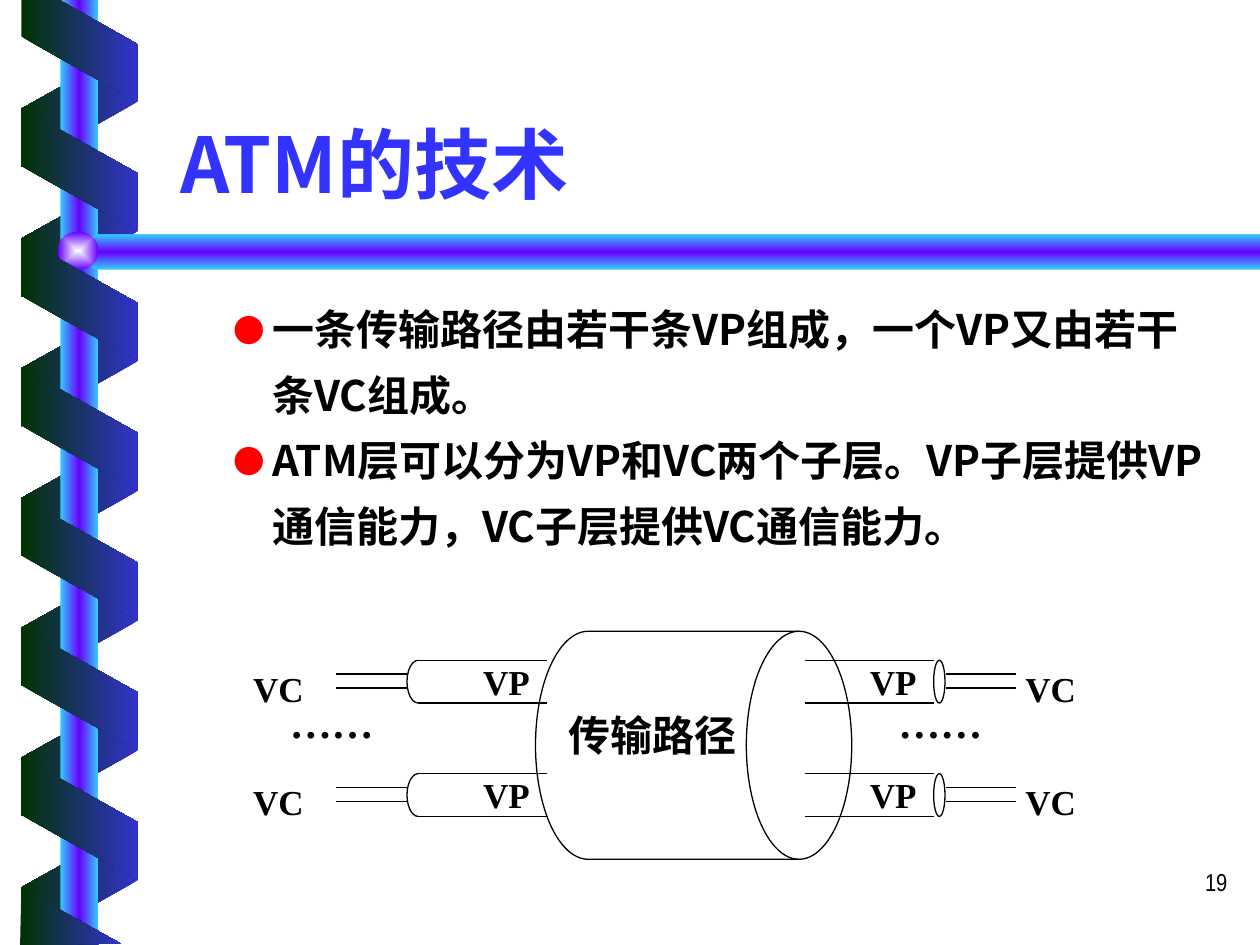
from lxml.etree import SubElement
from pptx import Presentation
from pptx.dml.color import RGBColor
from pptx.enum.shapes import MSO_CONNECTOR, MSO_SHAPE
from pptx.enum.text import MSO_ANCHOR, MSO_AUTO_SIZE, PP_ALIGN
from pptx.oxml import parse_xml
from pptx.oxml.ns import nsdecls, qn
from pptx.util import Inches, Pt

BLACK = RGBColor(0x00, 0x00, 0x00)
TITLE_BLUE = RGBColor(0x33, 0x33, 0xFF)
BULLET_RED = RGBColor(0xFF, 0x00, 0x00)
RIBBON_BLUE = RGBColor(0x33, 0x33, 0xCC)
RIBBON_GREEN = RGBColor(0x00, 0x33, 0x00)
SKY = RGBColor(0x33, 0xCC, 0xFF)
VIOLET = RGBColor(0x66, 0x00, 0xFF)
PEARL = RGBColor(0xFE, 0xFF, 0xFF)

CJK_FONT = "Noto Sans CJK SC"
LABEL_FONT = "Times New Roman"
LINEAR = '<a:lin ang="{}" scaled="0"/>'
RADIAL = '<a:path path="rect"><a:fillToRect l="50000" t="50000" r="50000" b="50000"/></a:path>'
ACROSS = LINEAR.format(0)
DOWN = LINEAR.format(5400000)

TITLE_FONT = {"name": CJK_FONT, "size": Pt(44), "bold": True}
BODY_FONT = {"name": CJK_FONT, "size": Pt(24), "bold": True}
LABEL = {"name": LABEL_FONT, "size": Pt(20), "bold": True}
LARGE_LABEL = {"name": LABEL_FONT, "size": Pt(24), "bold": True}
PAGE_FONT = {"name": "Arial Narrow", "size": Pt(14), "bold": False}
BODY_PARAGRAPH = {"level": 1, "line_spacing": 1.3, "space_before": Pt(0),
                  "space_after": Pt(0), "alignment": PP_ALIGN.LEFT}

POINTS = [
    "一条传输路径由若干条VP组成，一个VP又由若干条VC组成。",
    "ATM层可以分为VP和VC两个子层。VP子层提供VP通信能力，VC子层提供VC通信能力。",
]


def apply(target, values):
    for name, value in values.items():
        setattr(target, name, value)


def box(left, top, width, height):
    return [Inches(length) for length in (left, top, width, height)]


def place(shape, *lengths):
    apply(shape, dict(zip(("left", "top", "width", "height"), box(*lengths))))


def write(paragraph, text, font, color=BLACK):
    run = paragraph.add_run()
    run.text = text
    apply(run.font, font)
    run.font.color.rgb = color
    SubElement(run.font._element, qn("a:ea"), typeface=CJK_FONT)


def paint_gradient(shape, colors, direction):
    shape.shadow.inherit = False
    shape.line.fill.background()
    shape.fill.background()
    last = len(colors) - 1
    stops = "".join(
        f'<a:gs pos="{100000 * i // last}"><a:srgbClr val="{color}"/></a:gs>'
        for i, color in enumerate(colors))
    gradient = parse_xml(
        f'<a:gradFill {nsdecls("a")} rotWithShape="0">'
        f"<a:gsLst>{stops}</a:gsLst>{direction}</a:gradFill>")
    properties = shape._element.spPr
    properties.replace(properties.find(qn("a:noFill")), gradient)


def add_gradient_shape(slide, kind, lengths, colors, direction):
    shape = slide.shapes.add_shape(kind, *box(*lengths))
    paint_gradient(shape, colors, direction)
    return shape


def add_gradient_outline(slide, points, colors, direction):
    corners = [(Inches(x), Inches(y)) for x, y in points]
    builder = slide.shapes.build_freeform(*corners[0])
    builder.add_line_segments(corners[1:], close=True)
    paint_gradient(builder.convert_to_shape(), colors, direction)


def add_ribbon(slide, top, colors, rotation, flipped=False):
    ribbon = add_gradient_shape(slide, MSO_SHAPE.PARALLELOGRAM,
                                (0.14, top, 0.98, 0.93), colors, ACROSS)
    ribbon.adjustments[0] = 0.56
    ribbon.rotation = rotation
    if flipped:
        ribbon._element.spPr.find(qn("a:xfrm")).set("flipH", "1")


def add_outlined(slide, kind, *lengths):
    shape = slide.shapes.add_shape(kind, *box(*lengths))
    shape.shadow.inherit = False
    shape.fill.background()
    shape.line.color.rgb = BLACK
    shape.line.width = Pt(0.75)
    return shape


def add_horizontal(slide, left, right, y):
    line = slide.shapes.add_connector(
        MSO_CONNECTOR.STRAIGHT, Inches(left), Inches(y), Inches(right), Inches(y))
    line.line.color.rgb = BLACK
    line.line.width = Pt(0.75)
    SubElement(line._element.spPr, qn("a:effectLst"))


def add_label(slide, text, lengths, font, align=PP_ALIGN.CENTER,
              anchor=MSO_ANCHOR.MIDDLE, insets=(0, 0)):
    frame = slide.shapes.add_textbox(*box(*lengths)).text_frame
    side, end = [Inches(inset) for inset in insets]
    apply(frame, {"word_wrap": True, "vertical_anchor": anchor,
                  "margin_left": side, "margin_right": side,
                  "margin_top": end, "margin_bottom": end})
    frame.paragraphs[0].alignment = align
    write(frame.paragraphs[0], text, font)


def add_decoration(slide):
    for turn in range(7):
        add_ribbon(slide, 0.37 + 1.03 * turn, (RIBBON_BLUE, RIBBON_GREEN), 90, True)
    add_gradient_shape(slide, MSO_SHAPE.RECTANGLE, (0.48, 0, 0.3, 7.5),
                       (SKY, VIOLET, SKY), ACROSS)
    add_gradient_outline(
        slide, [(10, 1.86), (0.76, 1.86), (0.6, 2), (0.76, 2.14), (10, 2.14)],
        (SKY, VIOLET, SKY), DOWN)
    add_gradient_shape(slide, MSO_SHAPE.OVAL, (0.46, 1.84, 0.32, 0.3),
                       (PEARL, VIOLET), RADIAL)
    front = (RIBBON_GREEN, RIBBON_BLUE)
    for turn in range(6):
        add_ribbon(slide, 0.88 + 1.03 * turn, front, 270)
    ribbon_ends = [
        [(0.17, 0), (0.17, 0.29), (1.09, 0.81), (1.09, 0.35), (0.47, 0)],
        [(0.96, 7.49), (0.17, 7.05), (0.16, 7.5)],
    ]
    for points in ribbon_ends:
        add_gradient_outline(slide, points, front, ACROSS)


def add_title(slide):
    title = slide.shapes.title
    place(title, 1.33, 0.46, 8.5, 1.25)
    apply(title.text_frame, {"vertical_anchor": MSO_ANCHOR.BOTTOM,
                             "auto_size": MSO_AUTO_SIZE.NONE})
    paragraph = title.text_frame.paragraphs[0]
    paragraph.alignment = PP_ALIGN.LEFT
    write(paragraph, "ATM的技术", TITLE_FONT, TITLE_BLUE)


def add_points(slide):
    body = slide.placeholders[1]
    place(body, 1.25, 2.24, 8.5, 2.46)
    frame = body.text_frame
    frame.auto_size = MSO_AUTO_SIZE.NONE
    for index, text in enumerate(POINTS):
        paragraph = frame.add_paragraph() if index else frame.paragraphs[0]
        apply(paragraph, BODY_PARAGRAPH)
        properties = paragraph._p.get_or_add_pPr()
        properties.set("marL", str(Inches(0.81)))
        properties.set("indent", str(Inches(-0.31)))
        bullet_color = SubElement(properties, qn("a:buClr"))
        SubElement(bullet_color, qn("a:srgbClr"), val=str(BULLET_RED))
        SubElement(properties, qn("a:buSzPct"), val="75000")
        SubElement(properties, qn("a:buFont"), typeface=CJK_FONT)
        SubElement(properties, qn("a:buChar"), char="●")
        write(paragraph, text, BODY_FONT)


def add_channels(slide, top):
    for y in (top, top + 0.34):
        add_horizontal(slide, 3.32, 4.34, y)
        add_horizontal(slide, 6.39, 7.41, y)
    for y in (top + 0.11, top + 0.22):
        add_horizontal(slide, 2.67, 3.23, y)
        add_horizontal(slide, 7.51, 8.06, y)
    left_cap = add_outlined(slide, MSO_SHAPE.ARC, 3.23, top, 0.18, 0.34)
    left_cap.adjustments[0] = 54
    left_cap.adjustments[1] = 162
    add_outlined(slide, MSO_SHAPE.OVAL, 7.41, top, 0.09, 0.34)
    for left in (3.79, 6.86):
        add_label(slide, "VP", (left, top, 0.46, 0.33), LABEL, anchor=MSO_ANCHOR.TOP)
    for left in (1.93, 8.06):
        add_label(slide, "VC", (left, top + 0.06, 0.56, 0.33), LABEL)


def add_diagram(slide):
    add_outlined(slide, MSO_SHAPE.FLOWCHART_DIRECT_ACCESS_STORAGE,
                 4.25, 5.01, 2.51, 1.81)
    for top in (5.24, 6.14):
        add_channels(slide, top)
    for left in (2.3, 7.13):
        add_label(slide, "……", (left, 5.53, 0.74, 0.4), LARGE_LABEL, PP_ALIGN.LEFT)
    add_label(slide, "传输路径", (4.25, 5.58, 1.86, 0.5), LARGE_LABEL,
              anchor=MSO_ANCHOR.TOP, insets=(0.1, 0.05))


def main():
    presentation = Presentation()
    apply(presentation, {"slide_width": Inches(10), "slide_height": Inches(7.5)})
    slide = presentation.slides.add_slide(presentation.slide_layouts[1])
    add_decoration(slide)
    add_title(slide)
    add_points(slide)
    add_diagram(slide)
    add_label(slide, "19", (7.76, 6.83, 2.08, 0.5), PAGE_FONT, PP_ALIGN.RIGHT,
              MSO_ANCHOR.TOP, (0.1, 0.05))
    presentation.save("out.pptx")


if __name__ == "__main__":
    main()
